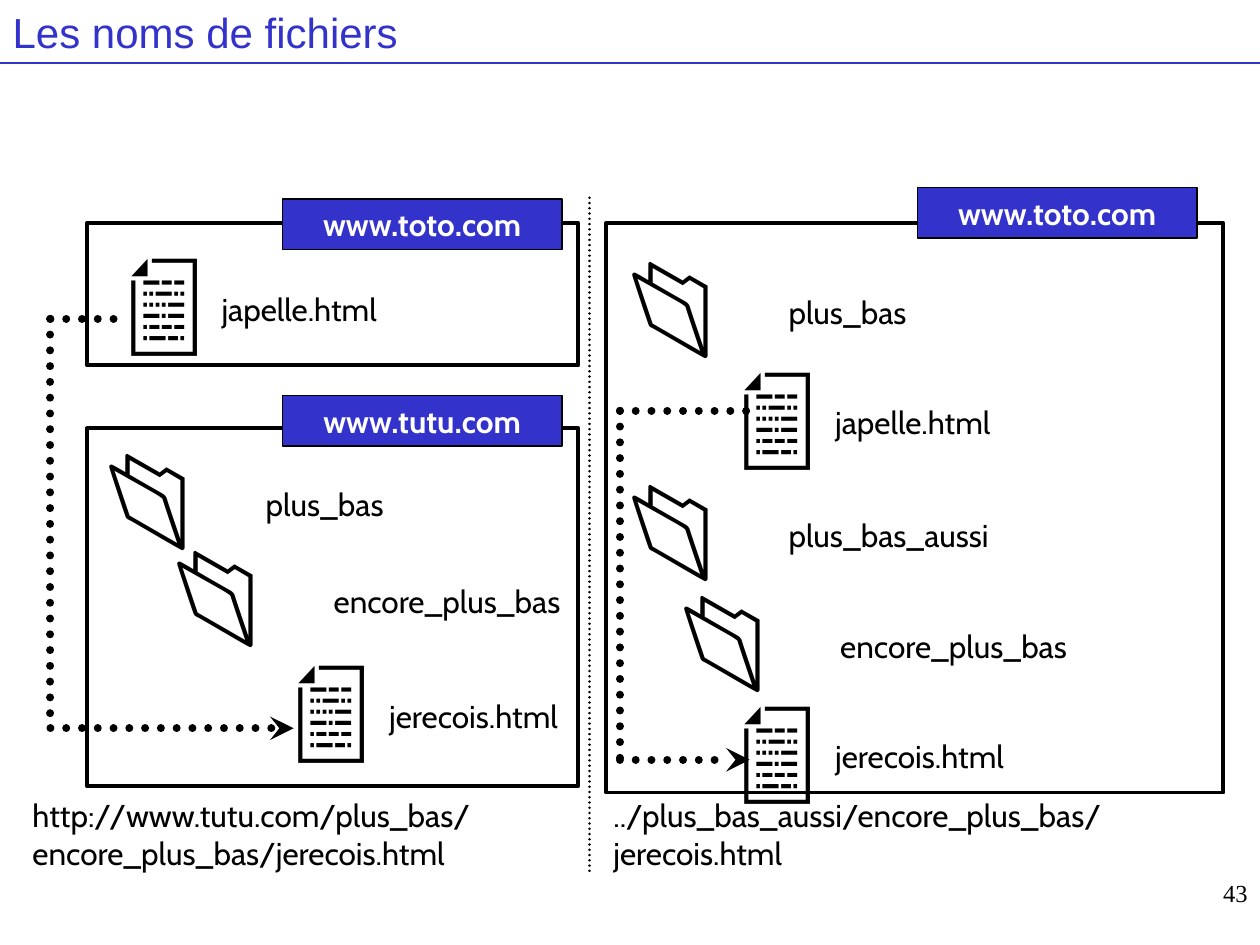
import dataclasses

import pptx
import pptx.dml.color
import pptx.enum.dml
import pptx.enum.shapes
import pptx.enum.text
import pptx.oxml
import pptx.oxml.ns
import pptx.util
from pptx.util import Inches

ALIGN = pptx.enum.text.PP_ALIGN


@dataclasses.dataclass(frozen=True)
class Theme:
    ink: str = "000000"
    blue: str = "3333CC"
    white: str = "FFFFFF"
    head: str = "Arial"
    body: str = "Cabin"
    serif: str = "Times New Roman"
    title: int = 24
    text: int = 18
    icon: int = 60
    page: int = 14


THEME = Theme()
# Icon glyph, then the offset of its label
KINDS = {"file": ("📄", 0.75, 0.45), "folder": ("📂", 1.27, 0.46)}


def color(code):
    return pptx.dml.color.RGBColor.from_string(code)


def write(shape, text, size, face, ink=THEME.ink, bold=False, align=ALIGN.LEFT):
    frame = shape.text_frame
    frame.word_wrap = True
    frame.auto_size = pptx.enum.text.MSO_AUTO_SIZE.NONE
    para = frame.paragraphs[0]
    para.text = text
    para.alignment = align
    font = para.font
    font.size, font.name, font.bold = pptx.util.Pt(size), face, bold
    font.color.rgb = color(ink)
    return frame


def add_text(slide, box, text, size=THEME.text, face=THEME.body, **style):
    shape = slide.shapes.add_textbox(*map(Inches, box))
    write(shape, text, size, face, **style)


def add_box(slide, box, width, fill=None):
    kind = pptx.enum.shapes.MSO_SHAPE.RECTANGLE
    shape = slide.shapes.add_shape(kind, *map(Inches, box))
    shape.shadow.inherit = False
    shape.line.color.rgb = color(THEME.ink)
    shape.line.width = pptx.util.Pt(width)
    if fill:
        shape.fill.solid()
        shape.fill.fore_color.rgb = color(fill)
    else:
        shape.fill.background()
    return shape


def add_site(slide, box, tag, name):
    """Frame of a web site with its name tag on the top edge."""
    add_box(slide, box, 2.25)
    label = add_box(slide, (*tag, 2.22, 0.4), 0.75, THEME.blue)
    frame = write(label, name, THEME.text, THEME.body, THEME.white, True, ALIGN.CENTER)
    frame.vertical_anchor = pptx.enum.text.MSO_ANCHOR.TOP


def add_entry(slide, kind, x, y, name):
    """File or folder icon with its label."""
    glyph, right, down = KINDS[kind]
    add_text(slide, (x, y, 1.69, 1.1), glyph, THEME.icon, THEME.head, bold=True)
    add_text(slide, (x + right, y + down, 2.55, 0.4), name)


def add_line(slide, start, end, width, ink=THEME.ink, dots=False, arrow=False):
    kind = pptx.enum.shapes.MSO_CONNECTOR.STRAIGHT
    line = slide.shapes.add_connector(kind, *map(Inches, (*start, *end)))
    line.line.color.rgb = color(ink)
    line.line.width = pptx.util.Pt(width)
    props = line._element.spPr
    stroke = line.line._get_or_add_ln()
    if dots:
        line.line.dash_style = pptx.enum.dml.MSO_LINE.ROUND_DOT
        stroke.set("cap", "rnd")
    if arrow:
        tail = pptx.oxml.ns.qn("a:tailEnd")
        stroke.append(stroke.makeelement(tail, {"type": "stealth"}))
    props.append(props.makeelement(pptx.oxml.ns.qn("a:effectLst"), {}))


def add_route(slide, x, top, foot, start, end):
    """Dotted path from the calling file to the called one."""
    add_line(slide, (x, top), (x, foot), 4.5, dots=True)
    add_line(slide, (x, foot), (end, foot), 4.5, dots=True, arrow=True)
    add_line(slide, (x, top), (start, top), 4.5, dots=True)


def add_title(slide, text):
    title = slide.shapes.title
    title.left, title.top = Inches(0), Inches(0)
    title.width, title.height = Inches(10), Inches(0.5)
    frame = write(title, text, THEME.title, THEME.head, THEME.blue)
    frame.vertical_anchor = pptx.enum.text.MSO_ANCHOR.MIDDLE
    add_line(slide, (10, 0.5), (0, 0.5), 0.75, THEME.blue)


def main():
    deck = pptx.Presentation()
    deck.slide_width, deck.slide_height = Inches(10), Inches(7.5)
    slide = deck.slides.add_slide(deck.slide_layouts[5])
    add_title(slide, "Les noms de fichiers")

    # Sites
    add_site(slide, (0.69, 1.77, 3.9, 1.13), (2.24, 1.58), "www.toto.com")
    add_site(slide, (0.69, 3.4, 3.9, 2.84), (2.24, 3.14), "www.tutu.com")
    add_site(slide, (4.81, 1.77, 4.9, 4.52), (7.28, 1.49), "www.toto.com")
    add_line(slide, (4.68, 1.57), (4.68, 6.94), 1.5, dots=True)

    # Files and folders
    for entry in (
        ("file", 0.91, 1.8, "japelle.html"),
        ("folder", 0.74, 3.34, "plus_bas"),
        ("folder", 1.28, 4.11, "encore_plus_bas"),
        ("file", 2.24, 5.03, "jerecois.html"),
        ("folder", 4.89, 1.82, "plus_bas"),
        ("file", 5.78, 2.7, "japelle.html"),
        ("folder", 4.89, 3.59, "plus_bas_aussi"),
        ("folder", 5.3, 4.47, "encore_plus_bas"),
        ("file", 5.78, 5.35, "jerecois.html"),
    ):
        add_entry(slide, *entry)

    # Links between the files
    add_route(slide, 0.4, 2.53, 5.78, 1.02, 2.33)
    add_route(slide, 4.92, 3.26, 6.03, 5.95, 5.95)

    # Addresses and page number
    add_text(slide, (0.16, 6.27, 4.5, 0.7),
             "http://www.tutu.com/plus_bas/encore_plus_bas/jerecois.html")
    add_text(slide, (4.77, 6.27, 4.5, 0.7),
             "../plus_bas_aussi/encore_plus_bas/\njerecois.html")
    add_text(slide, (7.92, 6.92, 2.08, 0.5), "43", THEME.page, THEME.serif,
             align=ALIGN.RIGHT)
    deck.save("out.pptx")


if __name__ == "__main__":
    main()
